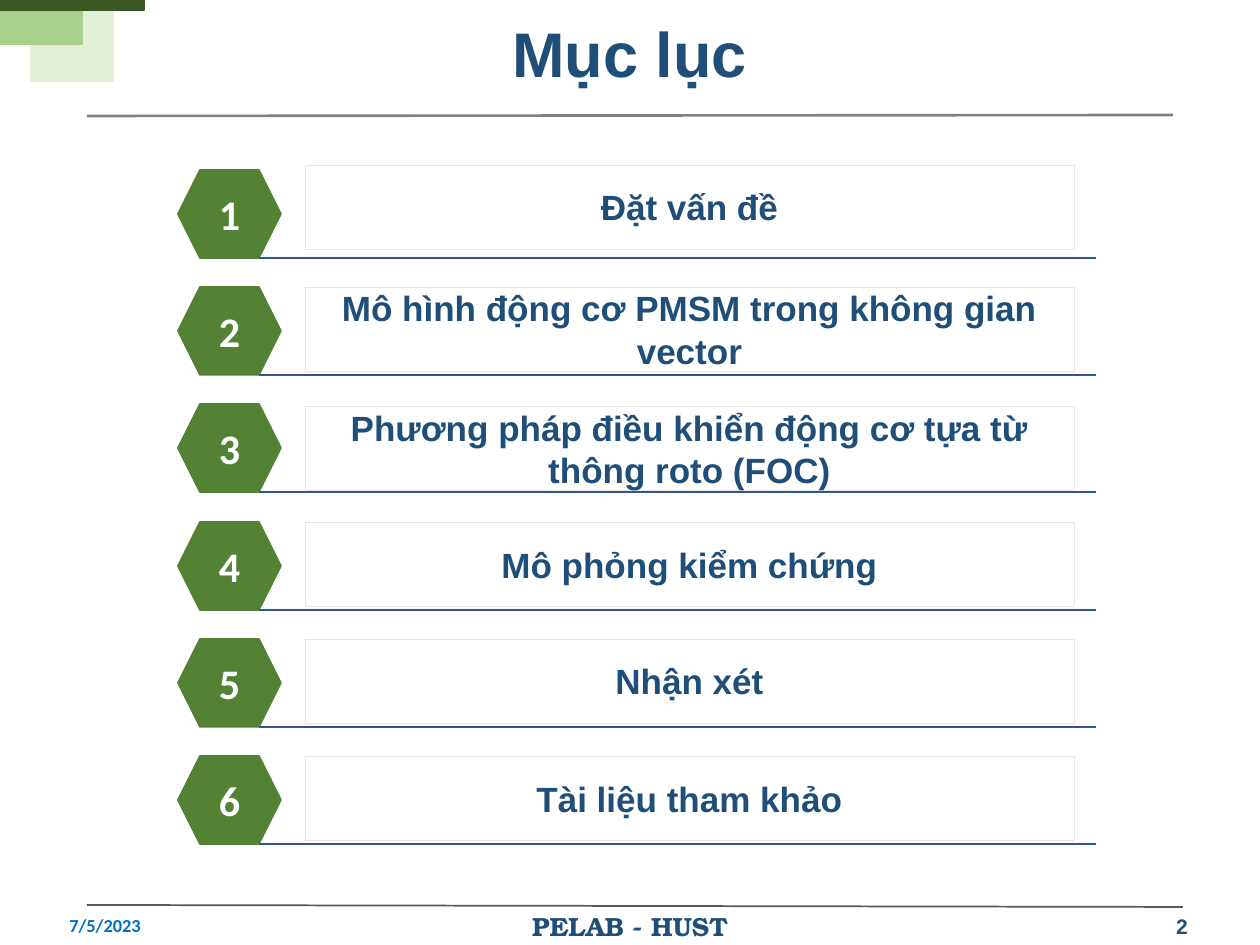
from lxml.etree import SubElement
from pptx import Presentation
from pptx.dml.color import RGBColor
from pptx.enum.dml import MSO_LINE
from pptx.enum.shapes import MSO_CONNECTOR, MSO_SHAPE
from pptx.enum.text import MSO_ANCHOR, PP_ALIGN
from pptx.oxml.ns import qn
from pptx.util import Pt

PX = 914400 // 126
COLORS = {
    "pale": "E2F0D9", "light": "A9D18E", "dark": "385723", "green": "548235",
    "navy": "1F4E79", "blue": "2F5597", "date": "0070C0", "white": "FFFFFF",
    "border": "E7E6E6", "title_rule": "808080", "footer_rule": "595959",
}
TOPICS = [
    ("Đặt vấn đề", -5),
    ("Mô hình động cơ PMSM trong không gian vector", 0),
    ("Phương pháp điều khiển động cơ tựa từ thông roto (FOC)", 2),
    ("Mô phỏng kiểm chứng", 0),
    ("Nhận xét", 0),
    ("Tài liệu tham khảo", 0),
]


def rgb(name):
    return RGBColor.from_string(COLORS[name])


def emu(*lengths):
    return [n * PX for n in lengths]


def add_text(sp, text, size, color, font="Arial", align=PP_ALIGN.CENTER,
             anchor=MSO_ANCHOR.MIDDLE, wrap=True):
    tf = sp.text_frame
    tf.word_wrap = wrap
    tf.vertical_anchor = anchor
    p = tf.paragraphs[0]
    p.alignment = align
    r = p.add_run()
    r.text = text
    r.font.size = Pt(size)
    r.font.name = font
    r.font.bold = True
    r.font.color.rgb = rgb(color)
    return p


def add_box(s, kind, box, fill, line, width=1):
    sp = s.shapes.add_shape(kind, *emu(*box))
    sp.shadow.inherit = False
    sp.fill.solid()
    sp.fill.fore_color.rgb = rgb(fill)
    sp.line.color.rgb = rgb(line)
    sp.line.width = Pt(width)
    return sp


def add_rule(s, x1, y1, x2, y2, color, width=1):
    ln = s.shapes.add_connector(MSO_CONNECTOR.STRAIGHT, *emu(x1, y1, x2, y2))
    ln.line.color.rgb = rgb(color)
    ln.line.width = Pt(width)
    SubElement(ln._element.spPr, qn("a:effectLst"))


def add_corner(s, x, y):
    for dx, dy, w, h, color in [(31, 0, 82, 81, "pale"),
                                (0, 5, 82, 39, "light"),
                                (0, 0, 144, 10, "dark")]:
        add_box(s, MSO_SHAPE.RECTANGLE, (x + dx, y + dy, w, h), color, color)


def add_header(s, x, y, w, h):
    add_rule(s, x, y + h, x + w, y + h - 1, "title_rule", 1.5)
    sp = s.shapes.add_textbox(*emu(x + 54, y, w - 109, 74))
    p = add_text(sp, "Mục lục", 36, "navy")
    p.line_spacing = 0.9


def add_topic(s, x, y, w, h, number, text, shift):
    sp = add_box(s, MSO_SHAPE.HEXAGON, (x, y, 103, h), "green", "green")
    add_text(sp, str(number), 24, "white", "Calibri")
    add_rule(s, x + 81, y + h, x + w, y + h, "blue")
    sp = add_box(s, MSO_SHAPE.RECTANGLE, (x + 127, y + shift, 769, 84),
                 "white", "border", 0.25)
    sp.line.dash_style = MSO_LINE.ROUND_DOT
    add_text(sp, text, 20, "navy")


def add_topics(s, x, y, w, h):
    row_h = 88
    for i, (text, shift) in enumerate(TOPICS):
        top = y + round(i * (h - row_h) / (len(TOPICS) - 1))
        add_topic(s, x, top, w, row_h, i + 1, text, shift)


def add_footer(s, x, y, w):
    add_rule(s, x, y, x + w, y + 2, "footer_rule")
    sp = s.shapes.add_textbox(*emu(x + 432, y - 1, 222, 44))
    add_text(sp, "PELAB - HUST", 15, "navy", "TeX Gyre Bonum",
             anchor=MSO_ANCHOR.TOP, wrap=False)
    sp = s.shapes.add_textbox(*emu(x - 30, y, 284, 40))
    add_text(sp, "7/5/2023", 10.5, "date", "Calibri", PP_ALIGN.LEFT)
    sp = s.shapes.add_textbox(*emu(x + 1063, y + 2, 64, 38))
    add_text(sp, "2", 12, "navy")


def main():
    prs = Presentation()
    prs.slide_width, prs.slide_height = emu(1260, 945)
    s = prs.slides.add_slide(prs.slide_layouts[6])
    add_corner(s, 0, 0)
    add_header(s, 87, 20, 1086, 96)
    add_topics(s, 178, 170, 918, 674)
    add_footer(s, 87, 905, 1096)
    prs.save("out.pptx")


if __name__ == "__main__":
    main()
